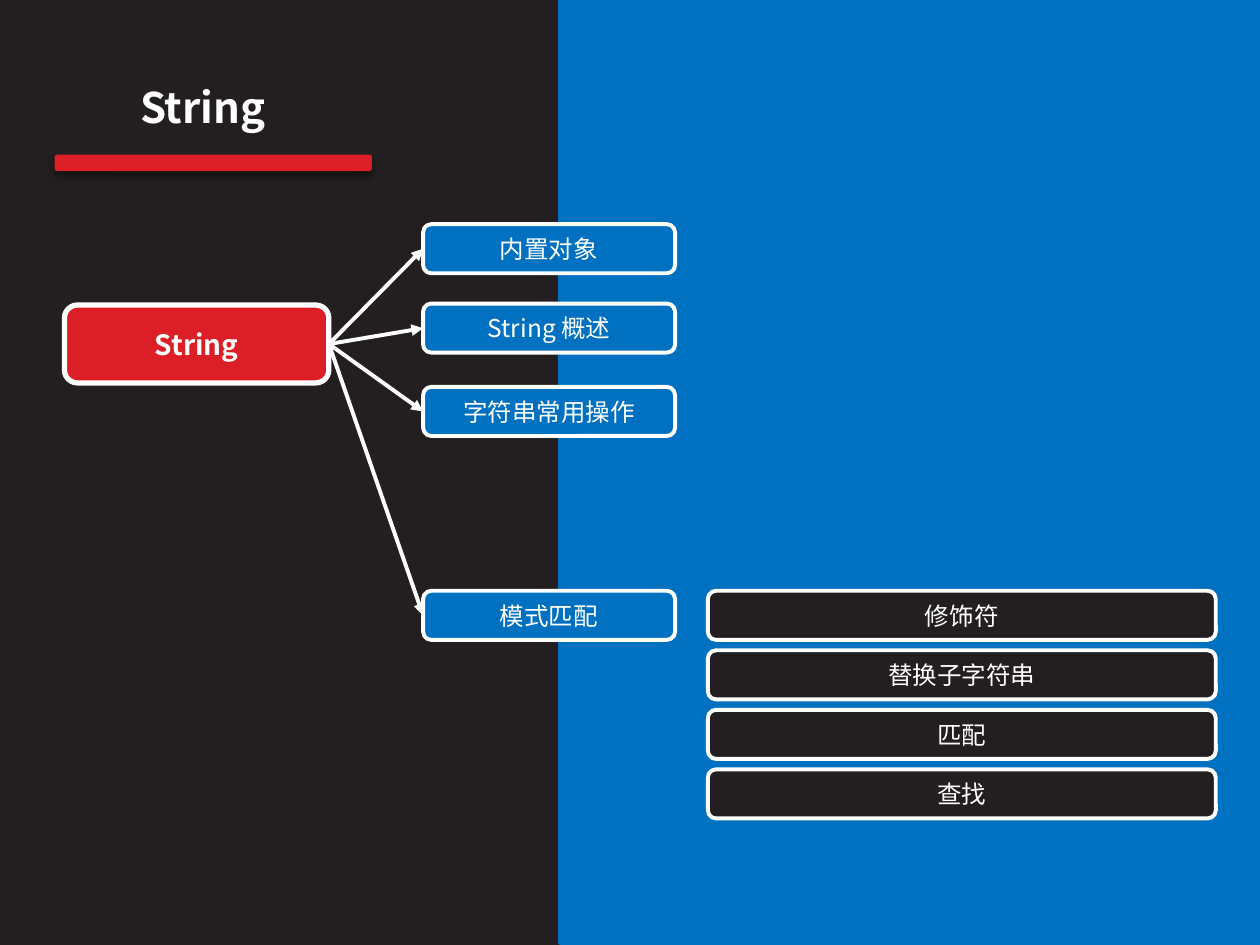
"""Build a slide that maps the topics of a lesson on String."""
from dataclasses import dataclass
from typing import Optional

from lxml.etree import SubElement
from pptx import Presentation
from pptx.dml.color import RGBColor
from pptx.enum.shapes import MSO_CONNECTOR as Link, MSO_SHAPE as Shape
from pptx.enum.text import MSO_ANCHOR as Anchor, PP_ALIGN as Align
from pptx.oxml.ns import qn
from pptx.util import Cm, Pt

FONT = "Noto Sans CJK SC"
COLORS = {"dark": "231F20", "blue": "0070C0", "red": "DC1F26", "white": "FFFFFF", "shadow": "000000"}
TOPICS = {"内置对象": 4.52, "String 概述": 6.12, "字符串常用操作": 7.8, "模式匹配": 11.91}
DETAILS = ["修饰符", "替换子字符串", "匹配", "查找"]
DETAIL_TOP, DETAIL_STEP = 11.91, 1.2


@dataclass
class Box:
    left: float
    top: float
    width: float
    height: float
    fill: str
    text: str = ""
    size: float = 14
    bold: bool = False
    line: Optional[str] = "white"
    line_width: float = 2.25
    shape: Shape = Shape.ROUNDED_RECTANGLE


def color(name: str) -> RGBColor:
    return RGBColor.from_string(COLORS[name])


def write(frame, text: str, size: float, bold: bool, anchor: Anchor) -> None:
    for name, value in {"word_wrap": True, "vertical_anchor": anchor}.items():
        setattr(frame, name, value)
    para = frame.paragraphs[0]
    para.alignment = Align.CENTER
    span = para.add_run()
    span.text = text
    for name, value in {"name": FONT, "size": Pt(size), "bold": bold}.items():
        setattr(span.font, name, value)
    span.font.color.rgb = color("white")
    SubElement(span._r.get_or_add_rPr(), qn("a:ea"), typeface=FONT)


def draw_box(page, box: Box):
    place = (Cm(value) for value in (box.left, box.top, box.width, box.height))
    shape = page.shapes.add_shape(box.shape, *place)
    shape.shadow.inherit = False
    shape.fill.solid()
    shape.fill.fore_color.rgb = color(box.fill)
    if box.line:
        shape.line.color.rgb = color(box.line)
        shape.line.width = Pt(box.line_width)
    else:
        shape.line.fill.background()
    if box.text:
        write(shape.text_frame, box.text, box.size, box.bold, Anchor.MIDDLE)
    return shape


def draw_arrow(page, source, target) -> None:
    arrow = page.shapes.add_connector(Link.STRAIGHT, 0, 0, 0, 0)
    arrow.begin_connect(source, 3)
    arrow.end_connect(target, 1)
    arrow.line.color.rgb = color("white")
    arrow.line.width = Pt(2.25)
    properties = arrow._element.spPr
    SubElement(properties.find(qn("a:ln")), qn("a:tailEnd"), type="triangle")
    SubElement(properties, qn("a:effectLst"))


def add_shadow(shape) -> None:
    effects = shape._element.spPr.find(qn("a:effectLst"))
    shadow = SubElement(effects, qn("a:outerShdw"), blurRad=str(Pt(4)), dist=str(Pt(3)),
                        dir="5400000", algn="t", rotWithShape="0")
    tint = SubElement(shadow, qn("a:srgbClr"), val=COLORS["shadow"])
    SubElement(tint, qn("a:alpha"), val="43000")


def draw_title(page) -> None:
    title = page.shapes.title
    place = {"left": -0.51, "top": 1.52, "width": 9.2, "height": 1.8}
    for name, value in place.items():
        setattr(title, name, Cm(value))
    write(title.text_frame, "String", 24, True, Anchor.TOP)
    add_shadow(draw_box(page, Box(1.1, 3.12, 6.4, 0.33, "red", line=None)))


def main() -> None:
    deck = Presentation()
    deck.slide_width, deck.slide_height = Cm(25.4), Cm(19.05)
    page = deck.slides.add_slide(deck.slide_layouts[5])
    page.background.fill.solid()
    page.background.fill.fore_color.rgb = color("dark")
    draw_box(page, Box(11.3, 0, 14.1, 19, "blue", line="blue", line_width=3, shape=Shape.RECTANGLE))
    draw_title(page)
    root = draw_box(page, Box(1.3, 6.15, 5.33, 1.57, "red", "String", 16, True, line_width=3))
    for text, top in TOPICS.items():
        topic = draw_box(page, Box(8.53, top, 5.08, 0.99, "blue", text))
        draw_arrow(page, root, topic)
    for index, text in enumerate(DETAILS):
        draw_box(page, Box(14.27, DETAIL_TOP + index * DETAIL_STEP, 10.24, 0.99, "dark", text))
    deck.save("out.pptx")


if __name__ == "__main__":
    main()
